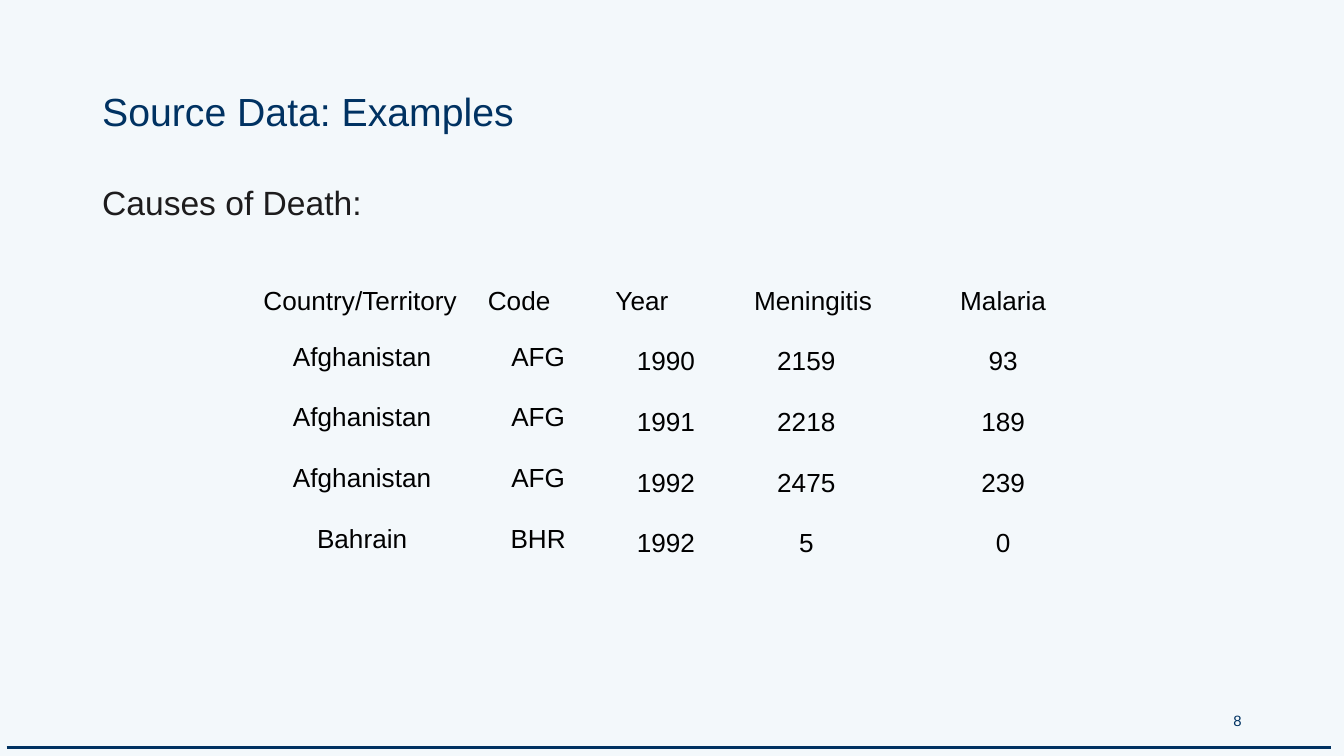
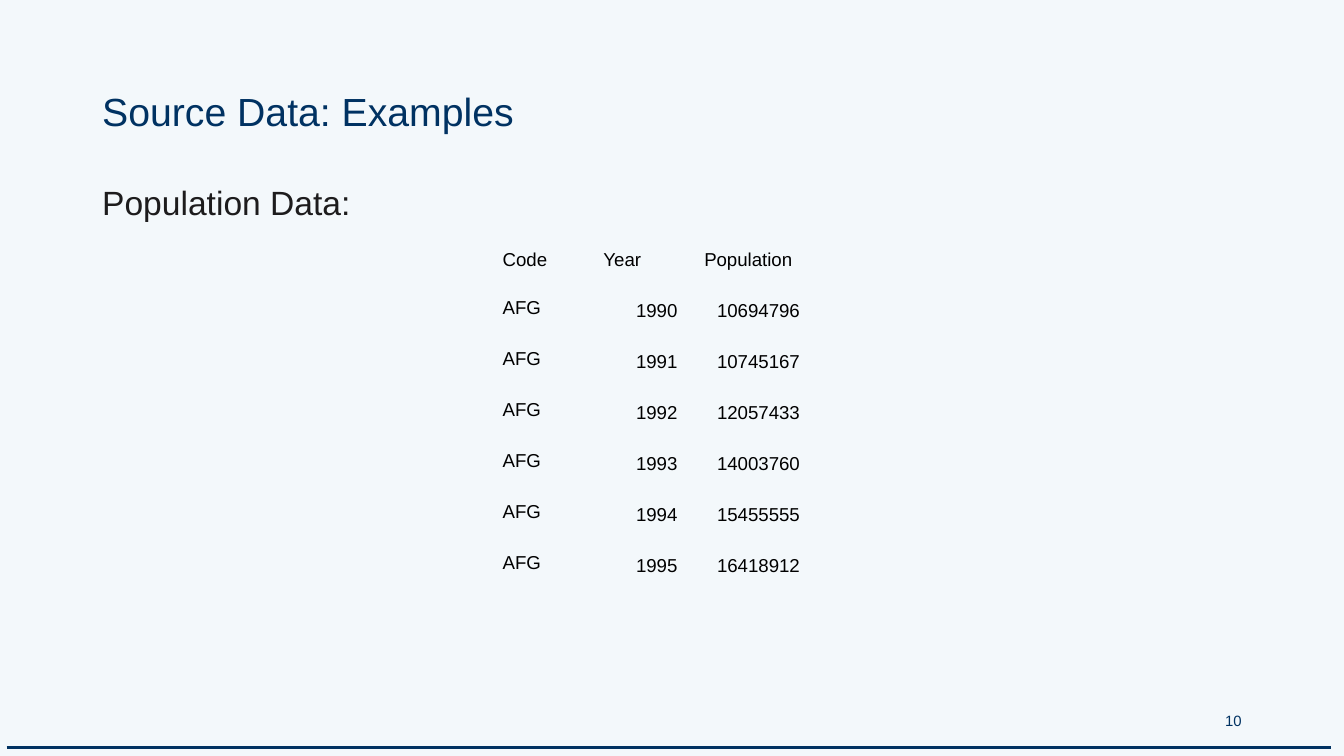
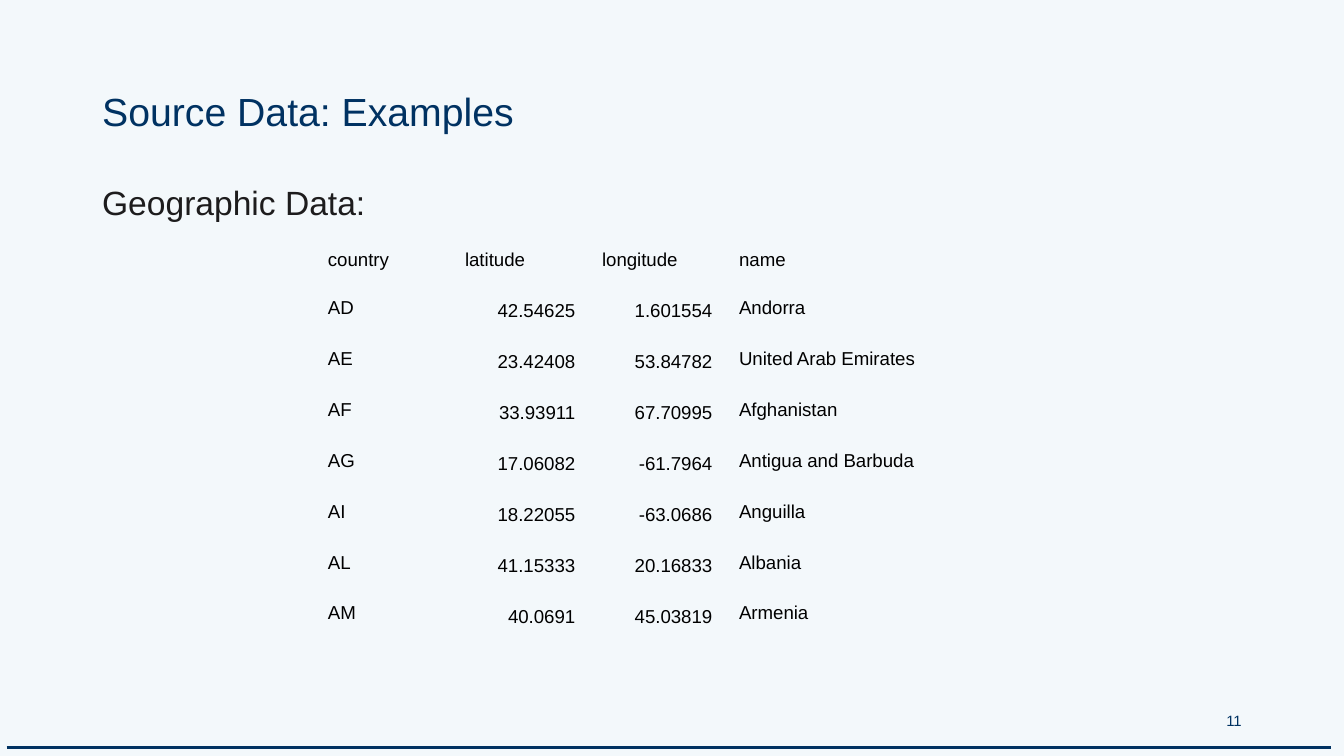
from lxml import etree
from pptx import Presentation
from pptx.dml.color import RGBColor
from pptx.enum.shapes import MSO_CONNECTOR
from pptx.enum.text import MSO_ANCHOR, MSO_AUTO_SIZE, PP_ALIGN
from pptx.oxml.ns import qn
from pptx.util import Inches, Pt

LEFT, MID, RIGHT = PP_ALIGN.LEFT, PP_ALIGN.CENTER, PP_ALIGN.RIGHT
TOP, MIDDLE = MSO_ANCHOR.TOP, MSO_ANCHOR.MIDDLE
FIXED = MSO_AUTO_SIZE.NONE
STRAIGHT = MSO_CONNECTOR.STRAIGHT
NAVY, INK, BLACK, PALE = "003262", "1D1C1D", "000000", "F3F8FB"
PLAIN = "{2D5ABB26-0587-4C30-8999-92F81FD0307C}"


def hue(code):
    return RGBColor.from_string(code)


def write(frame, text, size, color, align, anchor):
    frame.text = text
    frame.word_wrap = True
    frame.auto_size = FIXED
    frame.vertical_anchor = anchor
    frame.margin_left = frame.margin_right = Inches(0.07)
    frame.margin_top = frame.margin_bottom = Inches(0.04)
    para = frame.paragraphs[0]
    para.alignment = align
    para.space_before = Pt(0)
    para.font.name = "Arial"
    para.font.size = Pt(size)
    para.font.color.rgb = hue(color)
    return para


deaths = [
    ["Country/Territory", "Code", "Year", "Meningitis", "Malaria"],
    ["Afghanistan", "AFG", "1990", "2159", "93"],
    ["Afghanistan", "AFG", "1991", "2218", "189"],
    ["Afghanistan", "AFG", "1992", "2475", "239"],
    ["Bahrain", "BHR", "1992", "5", "0"],
]
people = [
    ["Code", "Year", "Population"],
    ["AFG", "1990", "10694796"],
    ["AFG", "1991", "10745167"],
    ["AFG", "1992", "12057433"],
    ["AFG", "1993", "14003760"],
    ["AFG", "1994", "15455555"],
    ["AFG", "1995", "16418912"],
]
places = [
    ["country", "latitude", "longitude", "name"],
    ["AD", "42.54625", "1.601554", "Andorra"],
    ["AE", "23.42408", "53.84782", "United Arab Emirates"],
    ["AF", "33.93911", "67.70995", "Afghanistan"],
    ["AG", "17.06082", "-61.7964", "Antigua and Barbuda"],
    ["AI", "18.22055", "-63.0686", "Anguilla"],
    ["AL", "41.15333", "20.16833", "Albania"],
    ["AM", "40.0691", "45.03819", "Armenia"],
]
pages = [
    ("8", "Causes of Death:", deaths, 1.86, 2.03, [1.67, 0.95, 0.95, 1.14, 1.79], 14,
     [LEFT, LEFT, LEFT, MID, MID], [MID] * 5),
    ("10", "Population Data:", people, 3.64, 1.76, [0.75, 0.75, 0.91], 10,
     [LEFT] * 3, [LEFT, RIGHT, RIGHT]),
    ("11", "Geographic Data:", places, 2.34, 1.76, [1.02, 1.02, 1.02, 2.26], 10,
     [LEFT] * 4, [LEFT, RIGHT, RIGHT, LEFT]),
]

prs = Presentation()
prs.slide_width = Inches(10)
prs.slide_height = Inches(10 * 9 / 16)
back = prs.slide_master.background.fill
back.solid()
back.fore_color.rgb = hue(PALE)

for number, topic, rows, left, top, widths, size, heads, sides in pages:
    slide = prs.slides.add_slide(prs.slide_layouts[1])
    shapes = slide.shapes

    rule = shapes.add_connector(STRAIGHT, Inches(0.05), Inches(5.56), Inches(9.9), Inches(5.56))
    rule.line.color.rgb = hue(NAVY)
    rule.line.width = Pt(1.5)
    etree.SubElement(rule.element.spPr, qn("a:effectLst"))

    title, body = slide.placeholders
    title.left, title.top, title.width, title.height = map(Inches, (0.69, 0.3, 8.62, 1.09))
    write(title.text_frame, "Source Data: Examples", 21, NAVY, LEFT, MIDDLE).line_spacing = 0.9

    body.left, body.top, body.width, body.height = map(Inches, (0.69, 1.31, 8.62, 3.75))
    write(body.text_frame, topic, 18, INK, LEFT, TOP)
    props = body.element.find(".//" + qn("a:pPr"))
    props.set("marL", "0")
    props.set("indent", "0")
    props.find(qn("a:defRPr")).addprevious(etree.Element(qn("a:buNone")))

    foot = shapes.add_textbox(Inches(7.06), Inches(5.21), Inches(2.25), Inches(0.3))
    write(foot.text_frame, number, 8, NAVY, RIGHT, MIDDLE)

    frame = shapes.add_table(len(rows), len(widths), Inches(left), Inches(top),
                             Inches(sum(widths)), Inches(0.2 * len(rows)))
    frame.element.find(".//" + qn("a:tableStyleId")).text = PLAIN
    table = frame.table
    table.first_row = table.horz_banding = False
    for col, width in zip(table.columns, widths):
        col.width = Inches(width)
    for r, row in enumerate(rows):
        table.rows[r].height = Inches(0.2)
        for c, text in enumerate(row):
            cell = table.cell(r, c)
            cell.fill.background()
            cell.margin_left = cell.margin_top = cell.margin_bottom = Inches(0.1)
            cell.margin_right = Inches(0 if text == "Meningitis" else 0.1)
            cell.text = text
            para = cell.text_frame.paragraphs[0]
            para.alignment = sides[c] if r else heads[c]
            if text[-1].isdigit():
                para.line_spacing = 1.15
            para.font.name = "Arial"
            para.font.size = Pt(size)
            para.font.color.rgb = hue(BLACK)

prs.save("out.pptx")
